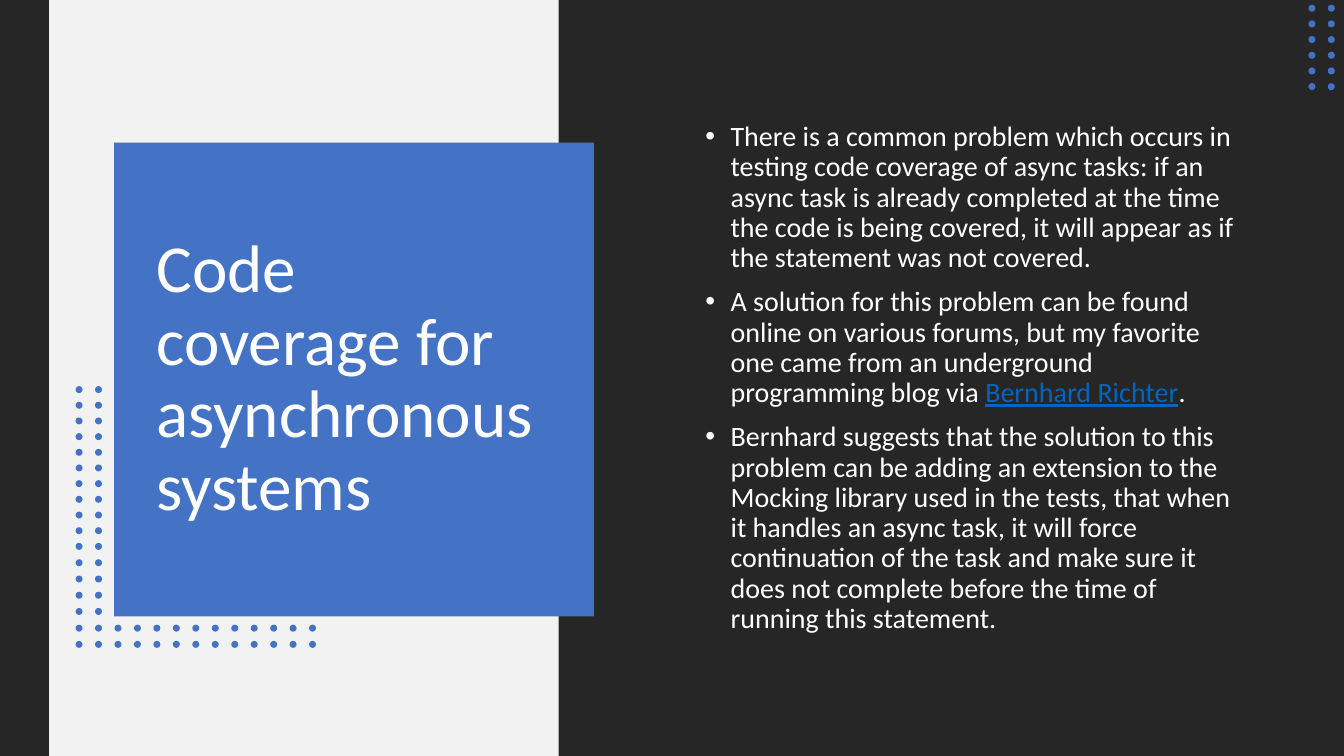
from lxml import etree
from pptx import Presentation, util as u
from pptx.dml.color import RGBColor
from pptx.enum import shapes, text
from pptx.oxml.ns import qn

DARK, LIGHT, BLUE, WHITE, LINK = "262626", "F2F2F2", "4472C4", "FFFFFF", "0563C1"
SLIDE_WIDTH, SLIDE_HEIGHT = 960, 540
TITLE = "Code coverage for asynchronous systems"
BULLETS = [
    ["There is a common problem which occurs in testing code coverage of async tasks: "
     "if an async task is already completed at the time the code is being covered, "
     "it will appear as if the statement was not covered."],
    ["A solution for this problem can be found online on various forums, but my favorite "
     "one came from an underground programming blog via ", "Bernhard Richter", "."],
    ["Bernhard suggests that the solution to this problem can be adding an extension to "
     "the Mocking library used in the tests, that when it handles an async task, it will "
     "force continuation of the task and make sure it does not complete before the time "
     "of running this statement."],
]


def color(value):
    return RGBColor.from_string(value)


class SlideBuilder:
    font = "Calibri"
    dot_size = 5
    column_gap = 13.9

    def __init__(self, slide):
        self.slide = slide

    def add_filled(self, parent, kind, left, top, width, height, fill):
        shape = parent.add_shape(kind, u.Pt(left), u.Pt(top), u.Pt(width), u.Pt(height))
        shape.shadow.inherit = False
        shape.fill.solid()
        shape.fill.fore_color.rgb = color(fill)
        shape.line.fill.background()

    def panel(self, left, top, width, height, fill):
        self.add_filled(self.slide.shapes, shapes.MSO_SHAPE.RECTANGLE,
                        left, top, width, height, fill)

    def dots(self, *grids):
        """Group dot grids, each given as (left, top, columns, rows, row gap)."""
        group = self.slide.shapes.add_group_shape()
        for left, top, columns, rows, row_gap in grids:
            for row in range(rows):
                for column in range(columns):
                    self.add_filled(group.shapes, shapes.MSO_SHAPE.OVAL,
                                    left + column * self.column_gap, top + row * row_gap,
                                    self.dot_size, self.dot_size, BLUE)

    def text_frame(self, left, top, width, height):
        box = self.slide.shapes.add_textbox(u.Pt(left), u.Pt(top), u.Pt(width), u.Pt(height))
        frame = box.text_frame
        frame.word_wrap = True
        frame.vertical_anchor = text.MSO_ANCHOR.MIDDLE
        return frame

    def format_run(self, run, size, fill=WHITE):
        run.font.name = self.font
        run.font.size = u.Pt(size)
        run.font.color.rgb = color(fill)

    def title(self, wording, left, top, width, height):
        frame = self.text_frame(left, top, width, height)
        frame.text = wording
        paragraph = frame.paragraphs[0]
        paragraph.line_spacing = 0.9
        self.format_run(paragraph.runs[0], 48)

    def bullets(self, items, left, top, width, height):
        """Add bulleted paragraphs; the second part of an item looks like a link."""
        frame = self.text_frame(left, top, width, height)
        for index, parts in enumerate(items):
            paragraph = frame.add_paragraph() if index else frame.paragraphs[0]
            paragraph.line_spacing = 0.9
            paragraph.space_before = u.Pt(10)
            properties = paragraph._p.get_or_add_pPr()
            properties.set("marL", str(u.Pt(18)))
            properties.set("indent", str(u.Pt(-18)))
            etree.SubElement(properties, qn("a:buFont")).set("typeface", "Arial")
            etree.SubElement(properties, qn("a:buChar")).set("char", "•")
            for position, part in enumerate(parts):
                run = paragraph.add_run()
                run.text = part
                is_link = position == 1
                self.format_run(run, 20, LINK if is_link else WHITE)
                if is_link:
                    run.font.underline = True


def main():
    presentation = Presentation()
    presentation.slide_width = u.Pt(SLIDE_WIDTH)
    presentation.slide_height = u.Pt(SLIDE_HEIGHT)
    builder = SlideBuilder(presentation.slides.add_slide(presentation.slide_layouts[6]))

    builder.panel(0, 0, SLIDE_WIDTH, SLIDE_HEIGHT, DARK)
    builder.panel(35, 0, 364, SLIDE_HEIGHT, LIGHT)
    builder.panel(81.5, 102, 342.7, 338.4, BLUE)
    builder.title(TITLE, 104.6, 125.3, 295.2, 291.6)
    builder.dots((934.6, 3.4, 2, 6, 11.2))
    builder.dots((54, 275.8, 2, 11, 11.2), (54, 399.5, 2, 4, 11.6), (54, 446.2, 13, 2, 11.6))
    builder.bullets(BULLETS, 496.8, 91.4, 393.8, 357.8)
    presentation.save("out.pptx")


if __name__ == "__main__":
    main()
